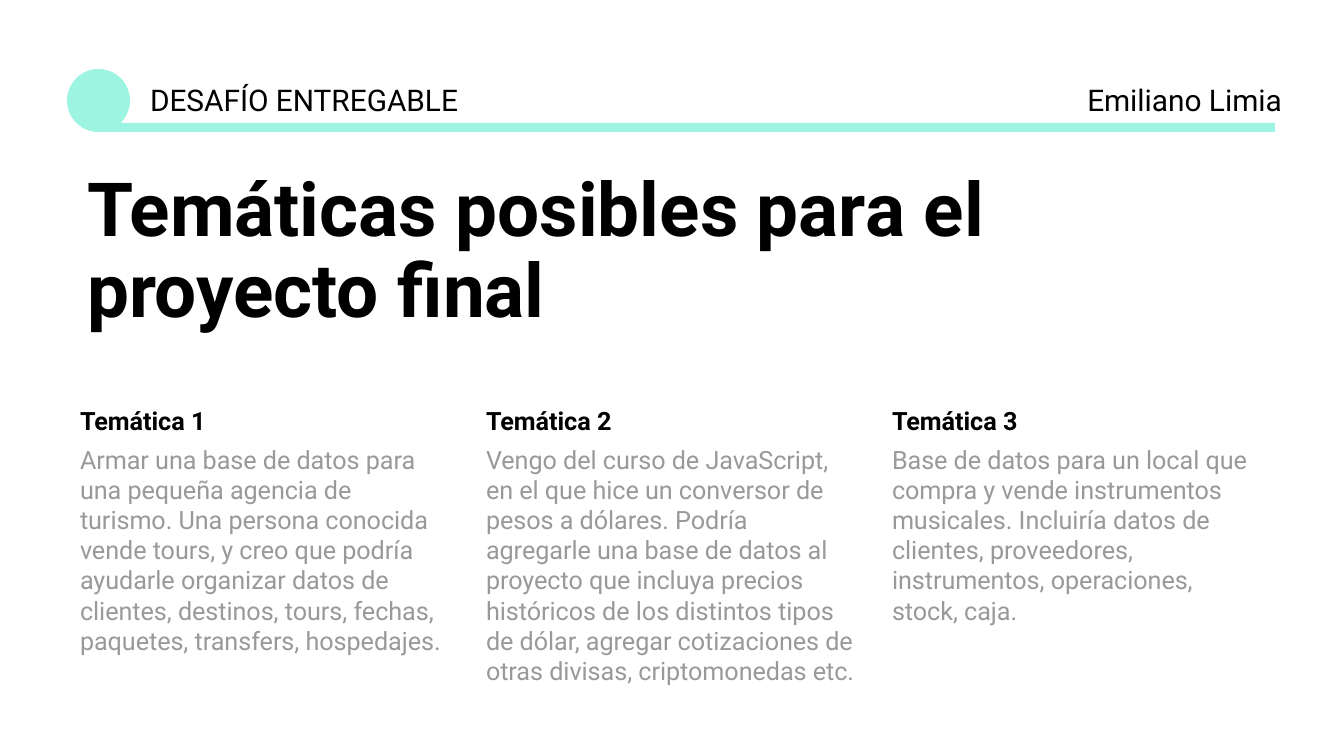
from pptx import Presentation
from pptx.dml.color import RGBColor
from pptx.enum.shapes import MSO_SHAPE
from pptx.enum.text import MSO_ANCHOR, MSO_AUTO_SIZE, PP_ALIGN
from pptx.util import Emu, Pt

LEFT, RIGHT = PP_ALIGN.LEFT, PP_ALIGN.RIGHT
OVAL, RECTANGLE = MSO_SHAPE.OVAL, MSO_SHAPE.RECTANGLE
TOP, NO_FIT = MSO_ANCHOR.TOP, MSO_AUTO_SIZE.NONE

FONT = "Roboto"
MINT, BLACK, GREY = "9DF4E2", "000000", "999999"

TITLE = "Temáticas posibles para el proyecto final"
HEADER_LABELS = [
    ("DESAFÍO ENTREGABLE", 137, LEFT),
    ("Emiliano Limia", 933, RIGHT),
]
HEADER_MARKS = [
    (OVAL, (67, 69, 63, 63)),
    (RECTANGLE, (94, 123, 1181, 9)),
]
TOPICS = [
    ("Temática 1",
     "Armar una base de datos para una pequeña agencia de turismo. Una persona "
     "conocida vende tours, y creo que podría ayudarle organizar datos de clientes, "
     "destinos, tours, fechas, paquetes, transfers, hospedajes."),
    ("Temática 2",
     "Vengo del curso de JavaScript, en el que hice un conversor de pesos a dólares. "
     "Podría agregarle una base de datos al proyecto que incluya precios históricos "
     "de los distintos tipos de dólar, agregar cotizaciones de otras divisas, "
     "criptomonedas etc."),
    ("Temática 3",
     "Base de datos para un local que compra y vende instrumentos musicales. "
     "Incluiría datos de clientes, proveedores, instrumentos, operaciones, stock, "
     "caja."),
]

SLIDE_WIDTH, SLIDE_HEIGHT = 1344, 756
TITLE_BOX = (74, 159, 1074, 190)
HEADER_TOP, LABEL_WIDTH, LABEL_HEIGHT = 69, 362, 63
TOPIC_LEFT, TOPIC_TOP, TOPIC_WIDTH, TOPIC_HEIGHT = 67, 392, 395, 341
TOPIC_GAP = 11
INSET = 13


def px(length):
    return Emu(round(length * 914400 / 134.4))


def color(hex_value):
    return RGBColor.from_string(hex_value)


def prepare_frame(frame):
    frame.word_wrap = True
    frame.auto_size = NO_FIT
    frame.vertical_anchor = TOP
    frame.margin_left = frame.margin_right = px(INSET)
    frame.margin_top = frame.margin_bottom = px(INSET)


def format_paragraph(paragraph, size, hex_value, bold=False, align=LEFT):
    paragraph.alignment = align
    for run in paragraph.runs:
        run.font.name = FONT
        run.font.size = Pt(size)
        run.font.bold = bold
        run.font.color.rgb = color(hex_value)


def add_text(slide, box, text):
    frame = slide.shapes.add_textbox(*map(px, box)).text_frame
    prepare_frame(frame)
    frame.text = text
    return frame.paragraphs


def add_title(slide):
    title = slide.shapes.title
    title.left, title.top, title.width, title.height = map(px, TITLE_BOX)
    prepare_frame(title.text_frame)
    title.text_frame.text = TITLE
    paragraph = title.text_frame.paragraphs[0]
    paragraph.line_spacing = 0.9
    paragraph.space_before = Pt(0)
    format_paragraph(paragraph, 40, BLACK, bold=True)


def add_header(slide):
    for kind, box in HEADER_MARKS:
        mark = slide.shapes.add_shape(kind, *map(px, box))
        mark.shadow.inherit = False
        mark.fill.solid()
        mark.fill.fore_color.rgb = color(MINT)
        mark.line.fill.background()
    for label, left, align in HEADER_LABELS:
        box = (left, HEADER_TOP, LABEL_WIDTH, LABEL_HEIGHT)
        format_paragraph(add_text(slide, box, label)[0], 16, BLACK, align=align)


def add_topics(slide):
    for column, (heading, description) in enumerate(TOPICS):
        left = TOPIC_LEFT + column * (TOPIC_WIDTH + TOPIC_GAP)
        box = (left, TOPIC_TOP, TOPIC_WIDTH, TOPIC_HEIGHT)
        head, body = add_text(slide, box, f"{heading}\n{description}")
        format_paragraph(head, 13.5, BLACK, bold=True)
        head.space_after = Pt(4.7)
        format_paragraph(body, 13.5, GREY)


def main():
    deck = Presentation()
    deck.slide_width, deck.slide_height = px(SLIDE_WIDTH), px(SLIDE_HEIGHT)
    slide = deck.slides.add_slide(deck.slide_layouts[5])
    add_title(slide)
    add_header(slide)
    add_topics(slide)
    deck.save("out.pptx")


if __name__ == "__main__":
    main()
